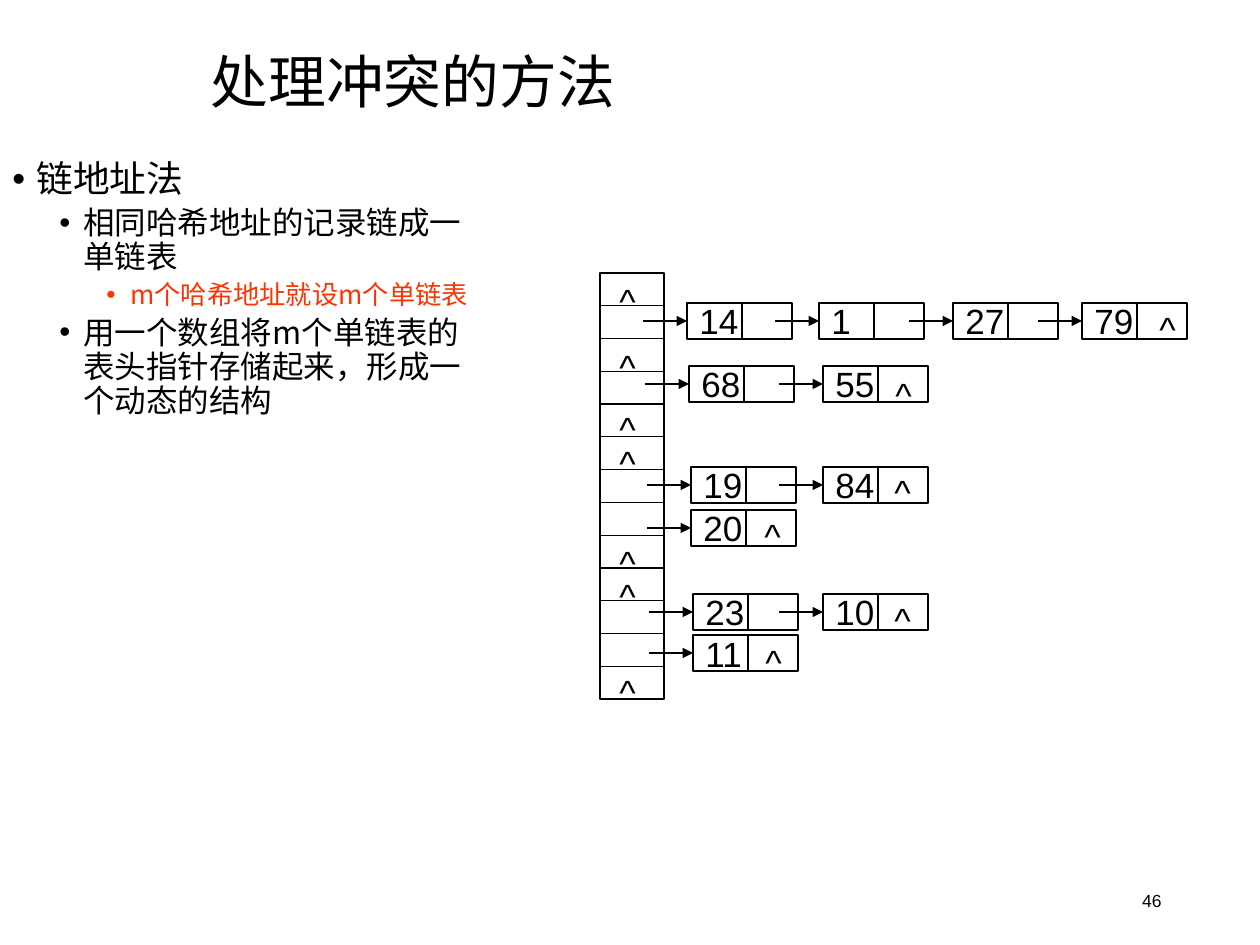
"""Draw a slide on hash collision handling by separate chaining."""
from typing import NamedTuple

from lxml.etree import SubElement
from pptx import Presentation
from pptx.dml.color import RGBColor as RGB
from pptx.enum.shapes import MSO_CONNECTOR as Link, MSO_SHAPE as Kind
from pptx.enum.text import MSO_ANCHOR as Anchor, MSO_AUTO_SIZE as Fit, PP_ALIGN as Align
from pptx.oxml.ns import qn
from pptx.util import Pt

SCALE = 914400 / 126
HUES = {"ink": "000000", "red": "FF3300"}
HAN, SANS = "Noto Sans CJK SC", "Arial"
LEFT, TOP, WIDE, HIGH, ROWS = 600, 273, 64, 426, 13
NODE_W, NODE_H, SPLIT, REACH = 105, 36, 55, 44
NIL_X, NIL_W, NIL_H = 607, 42, 55


class Node(NamedTuple):
    left: int
    key: str


class Nil(NamedTuple):
    left: int
    top: int


class Chain(NamedTuple):
    top: int
    nodes: list[Node]
    nil: Nil


class Point(NamedTuple):
    text: str
    level: int
    size: int
    hue: str = "ink"


CHAINS = [
    Chain(303, [Node(687, "14"), Node(819, "1"), Node(953, "27"), Node(1082, "79")], Nil(1147, 301)),
    Chain(366, [Node(689, "68"), Node(823, "55")], Nil(883, 367)),
    Chain(467, [Node(691, "19"), Node(823, "84")], Nil(882, 464)),
    Chain(510, [Node(691, "20")], Nil(752, 508)),
    Chain(594, [Node(693, "23"), Node(823, "10")], Nil(882, 592)),
    Chain(635, [Node(693, "11")], Nil(753, 634)),
]
EMPTY = [Nil(NIL_X, top) for top in (273, 339, 401, 435, 535, 568, 664)]
POINTS = [
    Point("链地址法", 0, 21),
    Point("相同哈希地址的记录链成一单链表", 1, 18),
    Point("m个哈希地址就设m个单链表", 2, 15, "red"),
    Point("用一个数组将m个单链表的表头指针存储起来，形成一个动态的结构", 1, 18),
]


def px(*sizes: float) -> list[int]:
    return [round(size * SCALE) for size in sizes]


def style(para, size: int, face: str = SANS, hue: str = "ink") -> None:
    for run in para.runs:
        run.font.size = Pt(size)
        run.font.name = face
        run.font.color.rgb = RGB.from_string(HUES[hue])
        SubElement(run.font._element, qn("a:ea"), typeface=face)


def add_box(slide, left: float, top: float, wide: float, high: float, text: str = ""):
    box = slide.shapes.add_shape(Kind.RECTANGLE, *px(left, top, wide, high))
    box.shadow.inherit = False
    box.fill.background()
    box.line.color.rgb = RGB.from_string(HUES["ink"])
    box.line.width = Pt(0.75)
    frame = box.text_frame
    frame.word_wrap = False
    frame.text = text
    frame.paragraphs[0].alignment = Align.LEFT
    style(frame.paragraphs[0], 20)
    return box


def add_line(slide, x1: float, y1: float, x2: float, y2: float):
    line = slide.shapes.add_connector(Link.STRAIGHT, *px(x1, y1, x2, y2))
    line.line.color.rgb = RGB.from_string(HUES["ink"])
    line.line.width = Pt(0.75)
    SubElement(line._element.spPr, qn("a:effectLst"))
    return line


def add_node(slide, node: Node, top: int) -> None:
    box = add_box(slide, node.left, top, NODE_W, NODE_H, node.key)
    mid = top + NODE_H / 2
    add_line(slide, node.left + SPLIT, top, node.left + SPLIT, top + NODE_H)
    arrow = add_line(slide, node.left - REACH, mid, node.left, mid)
    arrow.end_connect(box, 1)
    SubElement(arrow.line._get_or_add_ln(), qn("a:tailEnd"), type="triangle")


def add_nil(slide, nil: Nil) -> None:
    box = slide.shapes.add_textbox(*px(nil.left, nil.top, NIL_W, NIL_H))
    frame = box.text_frame
    frame.word_wrap = False
    frame.auto_size = Fit.SHAPE_TO_FIT_TEXT
    frame.text = "^"
    style(frame.paragraphs[0], 20)


def add_table(slide) -> None:
    add_box(slide, LEFT, TOP, WIDE, HIGH)
    for row in range(1, ROWS):
        y = TOP + row * HIGH / ROWS
        add_line(slide, LEFT, y, LEFT + WIDE, y)


def set_title(slide) -> None:
    title = slide.shapes.title
    title.left, title.top, title.width, title.height = px(198, 44, 1062, 82)
    frame = title.text_frame
    frame.text = "处理冲突的方法"
    frame.auto_size = Fit.NONE
    frame.vertical_anchor = Anchor.MIDDLE
    para = frame.paragraphs[0]
    para.alignment = Align.LEFT
    para.line_spacing = 0.9
    style(para, 33, HAN)


def add_points(slide) -> None:
    frame = slide.shapes.add_textbox(*px(0, 155, 486, 712)).text_frame
    frame.word_wrap = True
    for spot, point in enumerate(POINTS):
        para = frame.add_paragraph() if spot else frame.paragraphs[0]
        para.text = point.text
        para.level = point.level
        props = para._p.get_or_add_pPr()
        margin, dent = px(24 + 47 * point.level, -24)
        props.set("marL", str(margin))
        props.set("indent", str(dent))
        SubElement(SubElement(props, qn("a:buClr")), qn("a:srgbClr"), val=HUES[point.hue])
        SubElement(props, qn("a:buFont"), typeface=SANS)
        SubElement(props, qn("a:buChar"), char="•")
        para.line_spacing = 0.9
        para.space_before = Pt(3.7 if spot else 0)
        style(para, point.size, HAN, point.hue)


def add_page(slide) -> None:
    frame = slide.shapes.add_textbox(*px(890, 876, 284, 50)).text_frame
    frame.word_wrap = True
    frame.vertical_anchor = Anchor.MIDDLE
    frame.text = "46"
    frame.paragraphs[0].alignment = Align.RIGHT
    style(frame.paragraphs[0], 10)


def main() -> None:
    deck = Presentation()
    deck.slide_width, deck.slide_height = px(1260, 945)
    slide = deck.slides.add_slide(deck.slide_layouts[5])
    set_title(slide)
    add_points(slide)
    add_page(slide)
    add_table(slide)
    for chain in CHAINS:
        for node in chain.nodes:
            add_node(slide, node, chain.top)
    for nil in EMPTY + [chain.nil for chain in CHAINS]:
        add_nil(slide, nil)
    deck.save("out.pptx")


if __name__ == "__main__":
    main()
